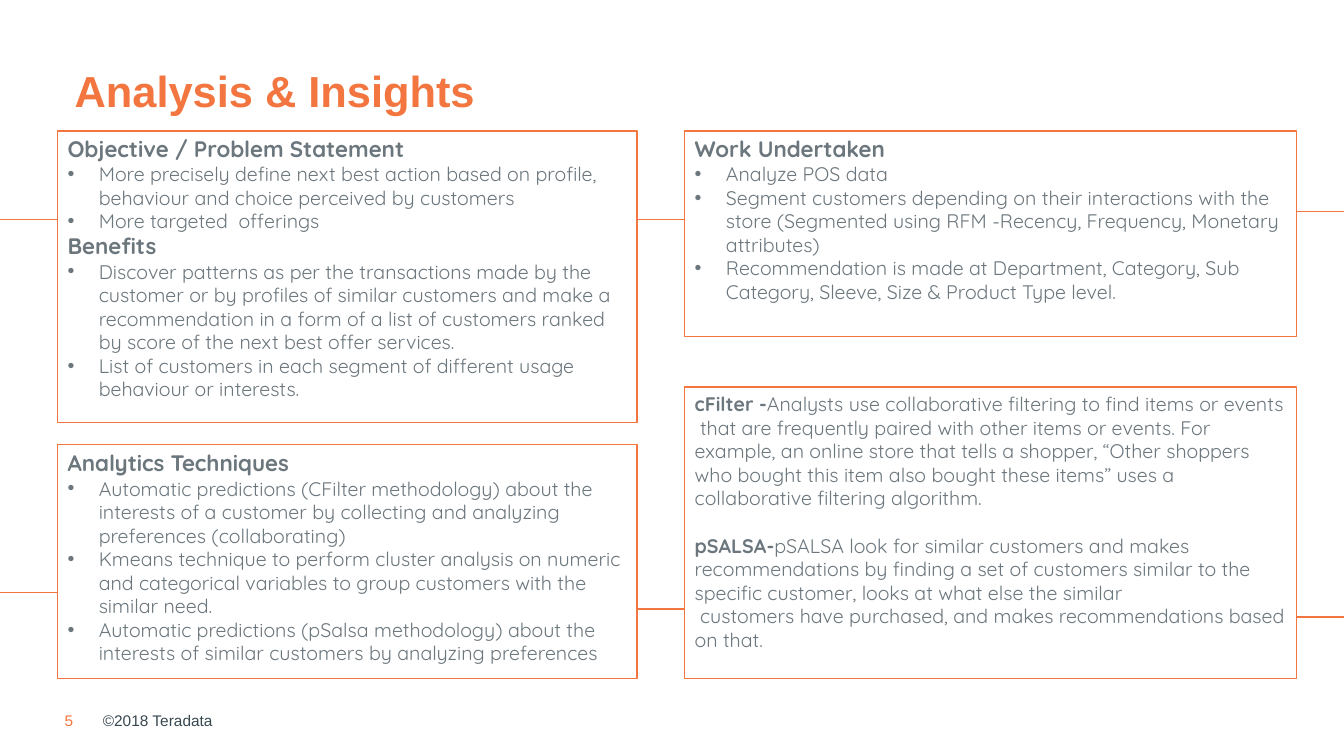
"""Build the Analysis & Insights slide with four connected panels."""
from lxml import etree
from pptx import Presentation
from pptx.dml.color import RGBColor
from pptx.enum.shapes import MSO_CONNECTOR, MSO_SHAPE
from pptx.enum.text import MSO_ANCHOR, MSO_AUTO_SIZE, PP_ALIGN
from pptx.oxml.ns import qn
from pptx.util import Inches, Pt

ORANGE = RGBColor(0xF3, 0x75, 0x3F)
GREY = RGBColor(0x6B, 0x76, 0x7D)
SLATE = RGBColor(0x38, 0x48, 0x51)
TOP, MIDDLE, BOTTOM = MSO_ANCHOR.TOP, MSO_ANCHOR.MIDDLE, MSO_ANCHOR.BOTTOM
NO_FIT, LEFT = MSO_AUTO_SIZE.NONE, PP_ALIGN.LEFT
RECT, STRAIGHT = MSO_SHAPE.RECTANGLE, MSO_CONNECTOR.STRAIGHT

LEFT_X, LEFT_W = 0.57, 5.75
RIGHT_X, RIGHT_W = 6.79, 6.07
LEFT_END, RIGHT_END, SLIDE_W = LEFT_X + LEFT_W, RIGHT_X + RIGHT_W, 13.33


def place(s, x, y, w, h):
    s.left, s.top, s.width, s.height = (Inches(v) for v in (x, y, w, h))


def add_run(p, text, size, color, font="Quicksand", bold=False):
    r = p.add_run()
    r.text = text
    r.font.name, r.font.size, r.font.bold = font, Pt(size), bold
    r.font.color.rgb = color


prs = Presentation()
prs.slide_width, prs.slide_height = Inches(SLIDE_W), Inches(7.5)
slide = prs.slides.add_slide(prs.slide_layouts.get_by_name("Comparison"))

title = slide.shapes.title
place(title, 0.64, 0.43, 11.5, 0.78)
tf = title.text_frame
tf.auto_size, tf.vertical_anchor = NO_FIT, BOTTOM
p = tf.paragraphs[0]
p.alignment, p.line_spacing = LEFT, 0.9
add_run(p, "Analysis & Insights", 31, ORANGE, "Arial", True)

for x, w, text, color, anchor in [
    (0.64, 0.19, "5", ORANGE, TOP),
    (1.02, 3, "©2018 Teradata", SLATE, MIDDLE),
]:
    footer = slide.shapes.add_textbox(Inches(x), Inches(7.05), Inches(w), Inches(0.19))
    tf = footer.text_frame
    tf.word_wrap, tf.vertical_anchor = w > 1, anchor
    tf.margin_left = tf.margin_right = tf.margin_top = tf.margin_bottom = 0
    add_run(tf.paragraphs[0], text, 11, color, "Arial")

for x, y, w, h in [
    (LEFT_X, 1.3, LEFT_W, 2.89),
    (RIGHT_X, 1.3, RIGHT_W, 2.04),
    (LEFT_X, 4.41, LEFT_W, 2.32),
    (RIGHT_X, 3.84, RIGHT_W, 2.89),
]:
    frame = slide.shapes.add_shape(RECT, Inches(x), Inches(y), Inches(w), Inches(h))
    frame.shadow.inherit = False
    frame.fill.background()
    frame.line.color.rgb, frame.line.width = ORANGE, Pt(1)

# Each paragraph is (kind, bold lead, plain text).
panels = [
    (1, LEFT_X, 1.29, LEFT_W, 2.76, [
        ("head", "Objective / Problem Statement", ""),
        ("bullet", "", "More precisely define next best action based on profile, "
         "behaviour and choice perceived by customers"),
        ("bullet", "", "More targeted  offerings"),
        ("head", "Benefits", ""),
        ("bullet", "", "Discover patterns as per the transactions made by the customer "
         "or by profiles of similar customers and make a recommendation in a form of a "
         "list of customers ranked by score of the next best offer services."),
        ("bullet", "", "List of customers in each segment of different usage "
         "behaviour or interests."),
    ]),
    (2, LEFT_X, 4.41, LEFT_W, 2.49, [
        ("head", "Analytics Techniques", ""),
        ("bullet", "", "Automatic predictions (CFilter methodology) about the interests "
         "of a customer by collecting and analyzing preferences (collaborating)"),
        ("bullet", "", "Kmeans technique to perform cluster analysis on numeric and "
         "categorical variables to group customers with the similar need."),
        ("bullet", "", "Automatic predictions (pSalsa methodology) about the interests "
         "of similar customers by analyzing preferences"),
    ]),
    (3, RIGHT_X, 1.29, RIGHT_W, 1.78, [
        ("head", "Work Undertaken", ""),
        ("bullet", "", "Analyze POS data"),
        ("bullet", "", "Segment customers depending on their interactions with the store "
         "(Segmented using RFM -Recency, Frequency, Monetary attributes)"),
        ("bullet", "", "Recommendation is made at Department, Category, Sub Category, "
         "Sleeve, Size & Product Type level."),
    ]),
    (4, RIGHT_X, 3.84, RIGHT_W, 2.69, [
        ("plain", "cFilter -", "Analysts use collaborative filtering to find items or "
         "events  that are frequently paired with other items or events. For example, "
         "an online store that tells a shopper, “Other shoppers who bought this item "
         "also bought these items” uses a collaborative filtering algorithm."),
        ("spaced", "pSALSA-", "pSALSA look for similar customers and makes "
         "recommendations by finding a set of customers similar to the specific "
         "customer, looks at what else the similar"),
        ("plain", "", " customers have purchased, and makes recommendations based on that."),
    ]),
]
for idx, x, y, w, h, paragraphs in panels:
    body = slide.placeholders[idx]
    place(body, x, y, w, h)
    tf = body.text_frame
    tf.word_wrap, tf.auto_size, tf.vertical_anchor = True, NO_FIT, TOP
    for i, (kind, lead, text) in enumerate(paragraphs):
        p = tf.add_paragraph() if i else tf.paragraphs[0]
        pPr = p._p.get_or_add_pPr()
        indent = Inches(0.31) if kind == "bullet" else 0
        pPr.set("marL", str(indent))
        pPr.set("indent", str(-indent))
        if indent:
            etree.SubElement(pPr, qn("a:buFont")).set("typeface", "Arial")
            etree.SubElement(pPr, qn("a:buChar")).set("char", "•")
        else:
            etree.SubElement(pPr, qn("a:buNone"))
        p.alignment = LEFT
        p.space_before = Pt(17 if kind == "spaced" else 0)
        if lead:
            add_run(p, lead, 16 if kind == "head" else 14, GREY, bold=True)
        if text:
            add_run(p, text, 14, GREY)

for x1, x2, y in [
    (LEFT_X, 0, 2.18),
    (RIGHT_X, LEFT_END, 2.18),
    (SLIDE_W, RIGHT_END, 2.1),
    (LEFT_X, 0, 5.88),
    (RIGHT_X, LEFT_END, 6.04),
    (SLIDE_W, RIGHT_END, 6.12),
]:
    link = slide.shapes.add_connector(STRAIGHT, Inches(x1), Inches(y), Inches(x2), Inches(y))
    link.line.color.rgb, link.line.width = ORANGE, Pt(1)
    etree.SubElement(link._element.spPr, qn("a:effectLst"))

prs.save("out.pptx")
